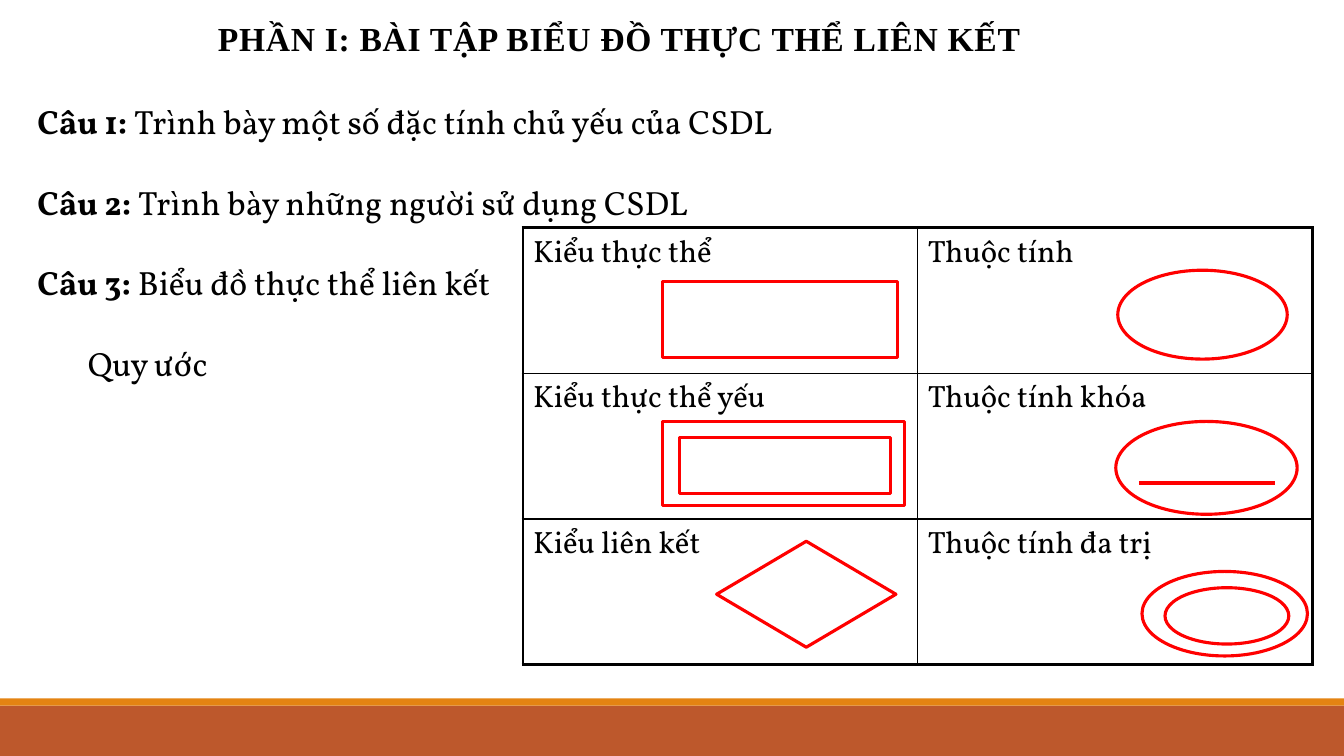
from lxml.etree import SubElement
from pptx import Presentation
from pptx.dml.color import RGBColor
from pptx.enum.shapes import MSO_CONNECTOR, MSO_SHAPE
from pptx.enum.text import MSO_ANCHOR, MSO_AUTO_SIZE, PP_ALIGN
from pptx.oxml.ns import qn
from pptx.util import Cm, Pt

COLORS = {"ink": "000000", "paper": "FFFFFF", "symbol": "FF0000",
          "band": "BD582C", "stripe": "E48312"}
HEADING = "PHẦN I: BÀI TẬP BIỂU ĐỒ THỰC THỂ LIÊN KẾT"
# (bold label, text, left indent in cm)
QUESTIONS = [
    ("Câu 1: ", "Trình bày một số đặc tính chủ yếu của CSDL", 0),
    ("Câu 2: ", "Trình bày những người sử dụng CSDL", 0),
    ("Câu 3: ", "Biểu đồ thực thể liên kết", 0),
    ("", "Quy ước", 1.27),
]
CONVENTIONS = [
    ("Kiểu thực thể", "Thuộc tính"),
    ("Kiểu thực thể yếu", "Thuộc tính khóa"),
    ("Kiểu liên kết", "Thuộc tính đa trị"),
]
# Left, top, width, height in cm
SYMBOLS = [
    (MSO_SHAPE.RECTANGLE, (16.69, 7.09, 5.92, 1.93)),
    (MSO_SHAPE.OVAL, (28.17, 6.81, 4.27, 2.24)),
    (MSO_SHAPE.RECTANGLE, (16.69, 10.62, 6.1, 2.11)),
    (MSO_SHAPE.RECTANGLE, (17.12, 11.02, 5.33, 1.42)),
    (MSO_SHAPE.DIAMOND, (18.06, 13.64, 4.52, 2.67)),
    (MSO_SHAPE.OVAL, (28.78, 14.4, 4.17, 2.13)),
    (MSO_SHAPE.OVAL, (29.36, 14.81, 3.12, 1.42)),
    (MSO_SHAPE.OVAL, (28.12, 10.62, 4.57, 2.34)),
]
KEY_UNDERLINE = (28.7, 12.17, 32.13, 12.17)
BANDS = [("band", 17.78, 1.27), ("stripe", 17.6, 0.18)]
SLIDE_WIDTH, SLIDE_HEIGHT = 33.87, 19.05
COLUMN_WIDTH, ROW_HEIGHT = 9.95, 3.67
THICK, THIN = 2.25, 1


def color(name):
    return RGBColor.from_string(COLORS[name])


def style(run, font, size, bold=False):
    run.font.name, run.font.size, run.font.bold = font, Pt(size), bold
    run.font.color.rgb = color("ink")


def place(item, left, top, width, height):
    item.left, item.top = Cm(left), Cm(top)
    item.width, item.height = Cm(width), Cm(height)


def add_figure(slide, kind, box, fill, outline=None):
    figure = slide.shapes.add_shape(kind, *map(Cm, box))
    figure.shadow.inherit = False
    figure.fill.solid()
    figure.fill.fore_color.rgb = color(fill)
    if outline:
        figure.line.color.rgb = color(outline)
        figure.line.width = Pt(THICK)
    else:
        figure.line.fill.background()


def add_borders(cell, widths):
    properties = cell._tc.get_or_add_tcPr()
    # Borders come before the fill in the cell properties
    for position, (side, width) in enumerate(widths.items()):
        border = properties.makeelement(qn(f"a:ln{side}"), {"w": str(Pt(width))})
        fill = SubElement(border, qn("a:solidFill"))
        SubElement(fill, qn("a:srgbClr"), val=COLORS["ink"])
        properties.insert(position, border)


def add_heading(slide):
    heading = slide.shapes.title
    place(heading, 5.13, 0.33, 20.96, 1.27)
    frame = heading.text_frame
    frame.text = HEADING
    frame.word_wrap = False
    frame.auto_size = MSO_AUTO_SIZE.NONE
    frame.vertical_anchor = MSO_ANCHOR.TOP
    line = frame.paragraphs[0]
    line.alignment = PP_ALIGN.CENTER
    line.space_before = line.space_after = Pt(3)
    style(line.runs[0], "Times New Roman", 24, True)
    line.runs[0].font._element.set("spc", "50")


def add_questions(slide):
    body = slide.placeholders[1]
    place(body, 0.69, 1.4, 29.9, 8.18)
    frame = body.text_frame
    frame.auto_size = MSO_AUTO_SIZE.NONE
    for number, (label, text, indent) in enumerate(QUESTIONS):
        line = frame.add_paragraph() if number else frame.paragraphs[0]
        line.line_spacing = 2.0
        line.space_before = Pt(0)
        properties = line._p.get_or_add_pPr()
        properties.set("marL", str(Cm(indent)))
        properties.set("indent", "0")
        SubElement(properties, qn("a:buNone"))
        for part, bold in ((label, True), (text, False)):
            if part:
                run = line.add_run()
                run.text = part
                style(run, "Vollkorn", 24, bold)


def add_conventions(slide):
    rows, columns = len(CONVENTIONS), len(CONVENTIONS[0])
    table = slide.shapes.add_table(
        rows, columns, Cm(13.18), Cm(5.74),
        Cm(columns * COLUMN_WIDTH), Cm(rows * ROW_HEIGHT)).table
    for column in table.columns:
        column.width = Cm(COLUMN_WIDTH)
    for r, names in enumerate(CONVENTIONS):
        table.rows[r].height = Cm(ROW_HEIGHT)
        for c, name in enumerate(names):
            cell = table.cell(r, c)
            cell.text_frame.text = name
            style(cell.text_frame.paragraphs[0].runs[0], "Vollkorn", 22)
            cell.fill.solid()
            cell.fill.fore_color.rgb = color("paper")
            outer = {"L": c == 0, "R": c == columns - 1,
                     "T": r == 0, "B": r == rows - 1}
            add_borders(cell, {side: THICK if edge else THIN
                               for side, edge in outer.items()})


def main():
    deck = Presentation()
    deck.slide_width, deck.slide_height = Cm(SLIDE_WIDTH), Cm(SLIDE_HEIGHT)
    slide = deck.slides.add_slide(deck.slide_layouts[1])

    # Footer bands
    for name, top, height in BANDS:
        add_figure(slide, MSO_SHAPE.RECTANGLE, (0, top, SLIDE_WIDTH, height), name)

    # Text and table of conventions
    add_heading(slide)
    add_questions(slide)
    add_conventions(slide)

    # Diagram symbols
    for kind, box in SYMBOLS:
        add_figure(slide, kind, box, "paper", "symbol")
    underline = slide.shapes.add_connector(
        MSO_CONNECTOR.STRAIGHT, *map(Cm, KEY_UNDERLINE))
    underline.line.color.rgb = color("symbol")
    underline.line.width = Pt(THICK)
    SubElement(underline._element.spPr, qn("a:effectLst"))

    deck.save("out.pptx")


if __name__ == "__main__":
    main()
